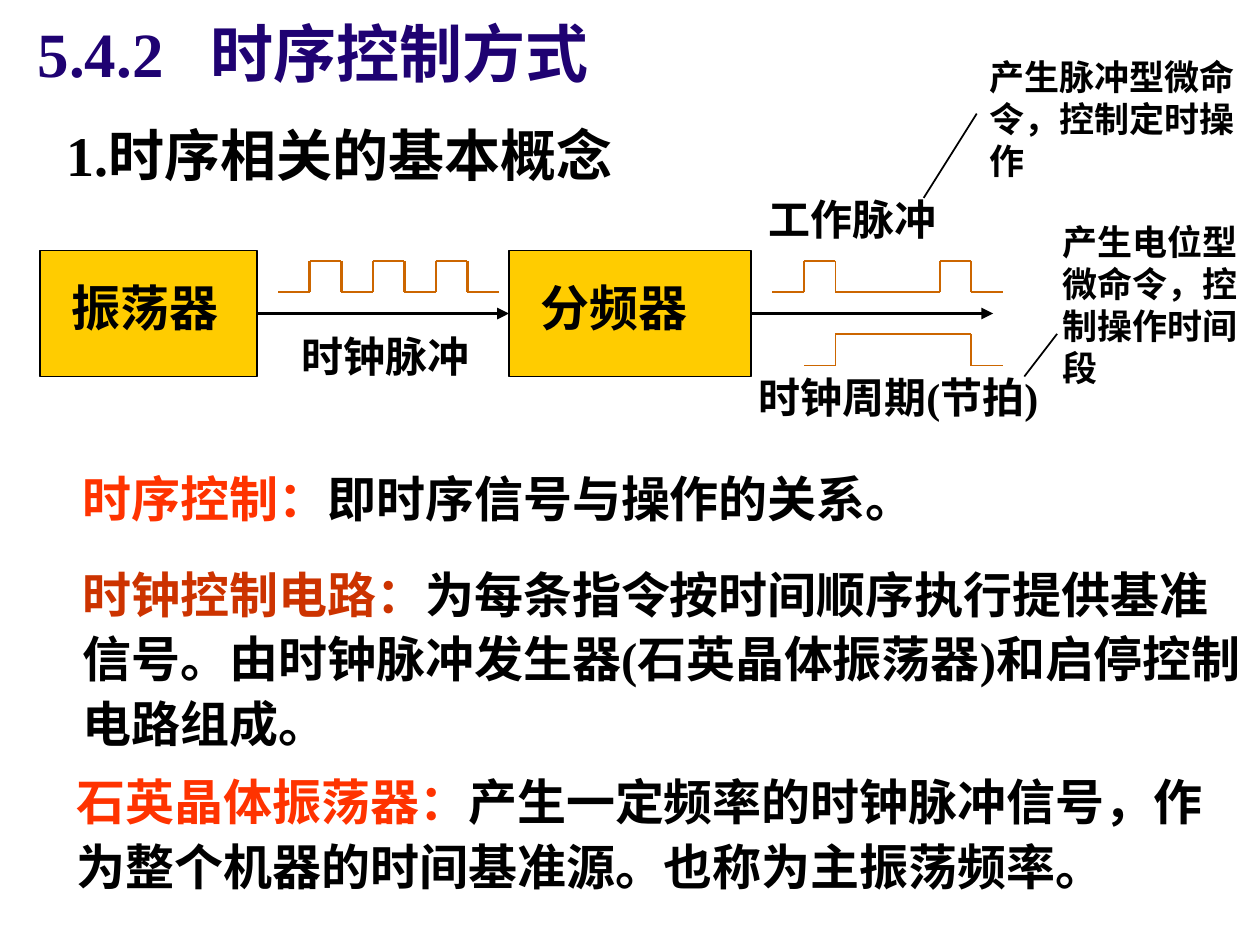
"""Build the slide on timing control: signal diagram and definitions."""
from itertools import pairwise

from lxml import etree
from pptx import Presentation
from pptx import util as u
from pptx.dml.color import RGBColor
from pptx.enum import shapes, text
from pptx.oxml import ns

NAVY = RGBColor(0x1F, 0x02, 0x72)
BLACK = RGBColor(0, 0, 0)
YELLOW = RGBColor(0xFF, 0xCC, 0x00)
ORANGE = RGBColor(0xCC, 0x66, 0x00)
RED = RGBColor(0xFF, 0x33, 0x00)
BRICK = RGBColor(0xCC, 0x33, 0x00)


def write(shape, size, *spans, spacing=None):
    frame = shape.text_frame
    frame.word_wrap = True
    para = frame.paragraphs[0]
    para.alignment = text.PP_ALIGN.LEFT
    para.line_spacing = spacing
    for words, color in spans:
        span = para.add_run()
        span.text = words
        span.font.color.rgb = color
    para.font.name = "Times New Roman"
    para.font.size = u.Pt(size)
    para.font.bold = True
    return para


def draw_line(parent, start, end, color, width, arrow=False):
    ends = [u.Cm(value) for value in (*start, *end)]
    line = parent.shapes.add_connector(shapes.MSO_CONNECTOR.STRAIGHT, *ends)
    line.line.color.rgb = color
    line.line.width = u.Pt(width)
    if arrow:
        etree.SubElement(line.line._get_or_add_ln(), ns.qn("a:tailEnd"), type="triangle")
    etree.SubElement(line._element.spPr, ns.qn("a:effectLst"))


deck = Presentation()
deck.slide_width, deck.slide_height = u.Cm(25.4), u.Cm(19.05)
page = deck.slides.add_slide(deck.slide_layouts[6])

title = page.shapes.add_textbox(u.Cm(0.51), u.Cm(0), u.Cm(21.21), u.Cm(2.13))
title.text_frame.vertical_anchor = text.MSO_ANCHOR.MIDDLE
heading = write(title, 36, ("5.4.2\t时序控制方式", NAVY))
tabs = etree.Element(ns.qn("a:tabLst"))
etree.SubElement(tabs, ns.qn("a:tab"), pos=str(u.Cm(3.48)), algn="l")
heading._p.get_or_add_pPr().insert(0, tabs)

for name, left, width in (("振荡器", 0.81, 4.37), ("分频器", 10.26, 4.88)):
    box = page.shapes.add_shape(
        shapes.MSO_SHAPE.RECTANGLE, u.Cm(left), u.Cm(5.05), u.Cm(width), u.Cm(2.54)
    )
    box.shadow.inherit = False
    box.fill.solid()
    box.fill.fore_color.rgb = YELLOW
    box.line.color.rgb = BLACK
    box.line.width = u.Pt(1)
    box.text_frame.margin_left = u.Cm(0.64)
    box.text_frame.margin_top = u.Cm(0)
    box.text_frame.margin_bottom = u.Cm(0.28)
    write(box, 28, (name, BLACK))

for left, right in ((5.18, 10.26), (15.14, 20.02)):
    draw_line(page, (left, 6.32), (right, 6.32), BLACK, 2.25, arrow=True)

clock_edges = [5.61 + step * 4.45 / 7 for step in range(8)]
work_edges = [15.57, 16.21, 16.84, 18.95, 19.58, 20.22]
cycle_edges = [16.21, 16.84, 19.58, 20.22]
for edges, low, weight in (
    (clock_edges, 5.89, 1.5),
    (work_edges, 5.89, 1),
    (cycle_edges, 7.37, 1),
):
    wave = page.shapes.add_group_shape()
    points = []
    for index, (left, right) in enumerate(pairwise(edges)):
        level = low - 0.63 * (index % 2)
        points += [(left, level), (right, level)]
    for start, end in pairwise(points):
        draw_line(wave, start, end, ORANGE, weight)

draw_line(page, (18.62, 3.99), (19.69, 2.29), BLACK, 1)
draw_line(page, (20.65, 7.59), (21.31, 6.73), BLACK, 1)

for left, top, width, height, size, words in (
    (1.09, 2.31, 14.4, 1.63, 32, "1.时序相关的基本概念"),
    (5.82, 6.53, 4.45, 1.27, 24, "时钟脉冲"),
    (15.24, 3.78, 4.45, 1.27, 24, "工作脉冲"),
    (15.04, 7.37, 6.99, 1.27, 24, "时钟周期(节拍)"),
    (19.69, 0.99, 5.51, 2.79, 20, "产生脉冲型微命令，控制定时操作"),
    (21.16, 4.32, 4.24, 3.66, 20, "产生电位型微命令，控制操作时间段"),
):
    label = page.shapes.add_textbox(u.Cm(left), u.Cm(top), u.Cm(width), u.Cm(height))
    write(label, size, (words, BLACK))

for left, top, width, height, spacing, color, term, meaning in (
    (1.42, 9.32, 19.69, 1.45, None, RED, "时序控制：", "即时序信号与操作的关系。"),
    (1.42, 11.13, 24.08, 4.39, 1.1, BRICK, "时钟控制电路：",
     "为每条指令按时间顺序执行提供基准信号。由时钟脉冲发生器(石英晶体振荡器)和启停控制电路组成。"),
    (1.3, 15.32, 24.08, 3, 1.1, RED, "石英晶体振荡器：",
     "产生一定频率的时钟脉冲信号，作为整个机器的时间基准源。也称为主振荡频率。"),
):
    definition = page.shapes.add_textbox(u.Cm(left), u.Cm(top), u.Cm(width), u.Cm(height))
    write(definition, 28, (term, color), (meaning, BLACK), spacing=spacing)

deck.save("out.pptx")
